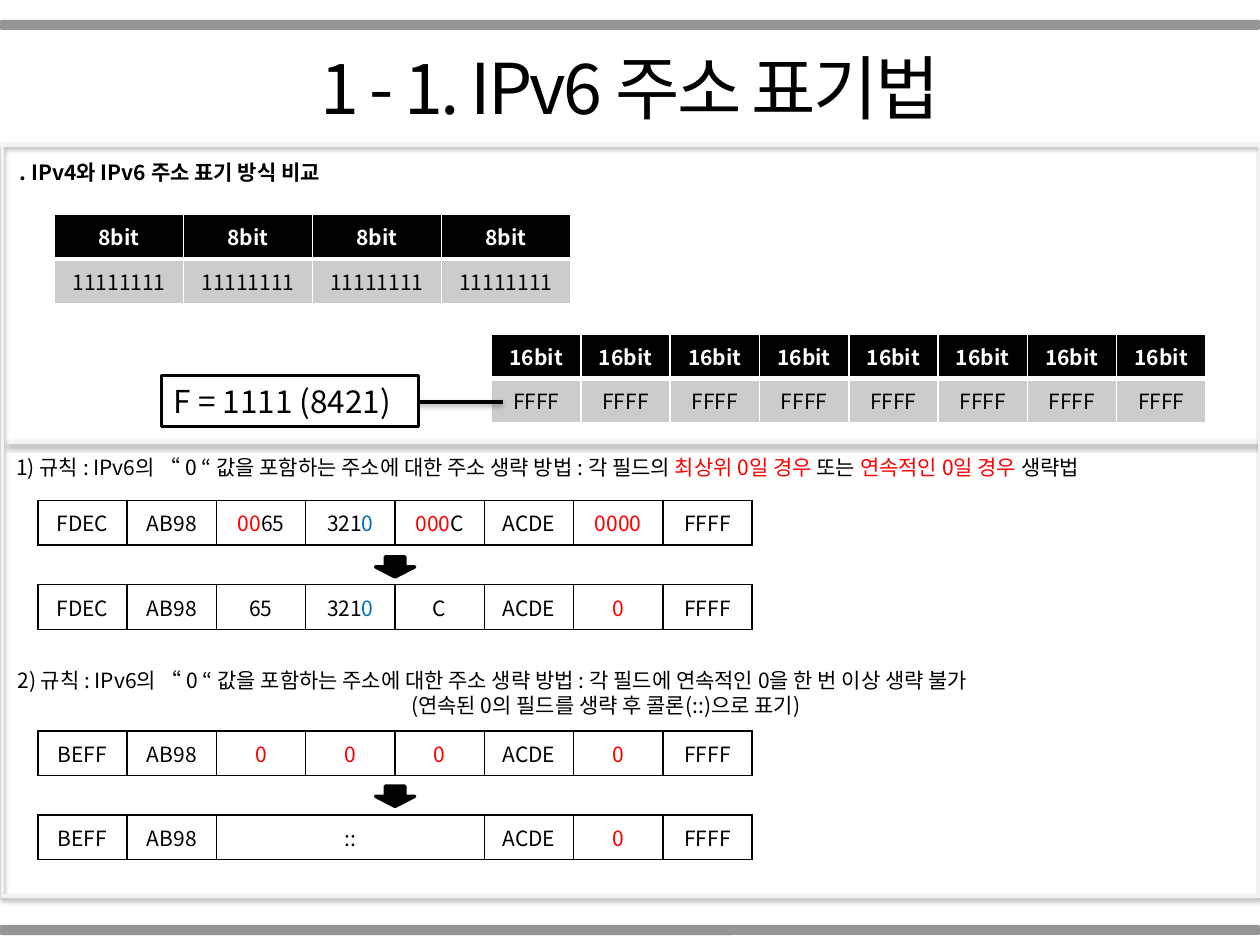
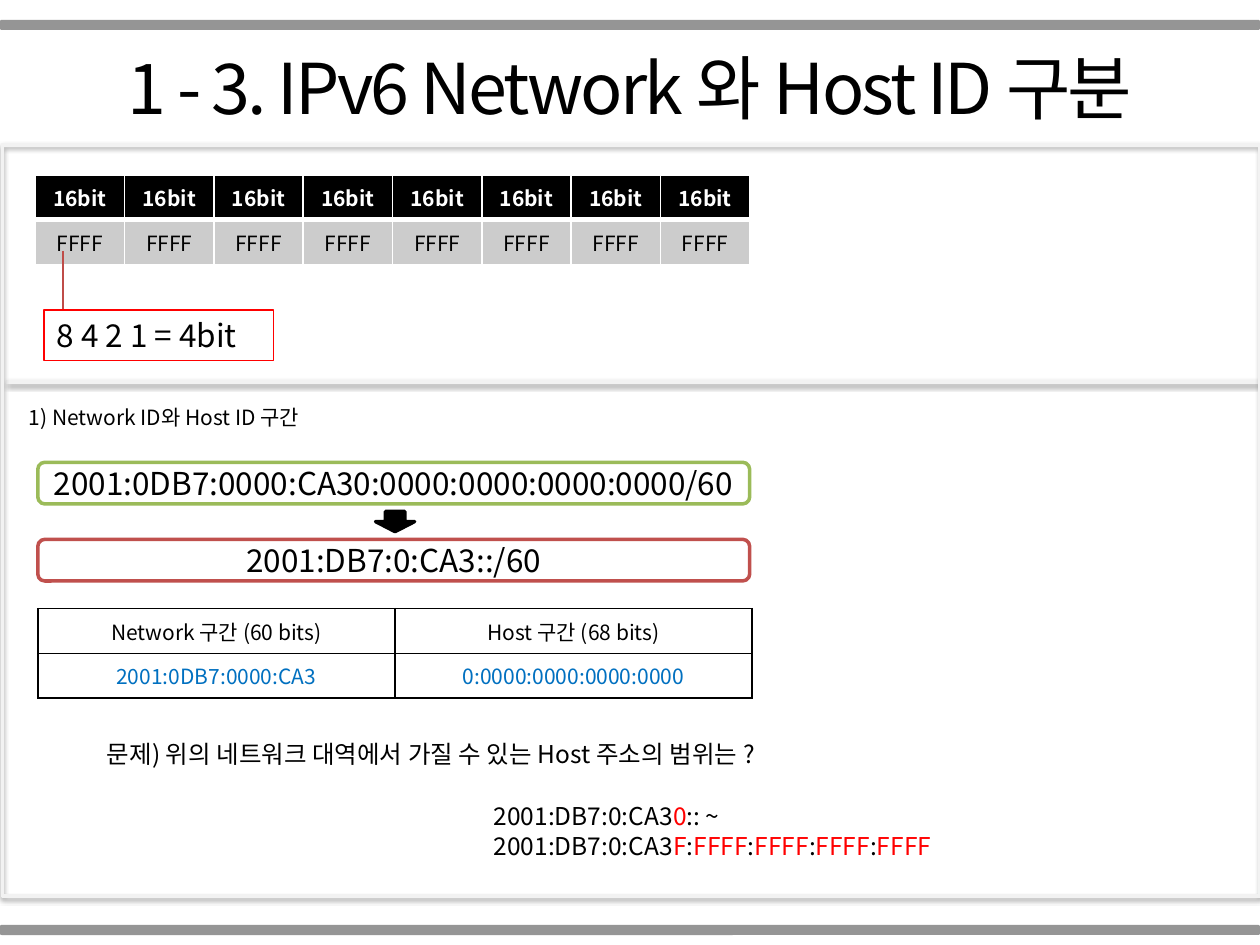
from lxml.etree import SubElement
from pptx import Presentation
from pptx.dml.color import RGBColor
from pptx.enum.shapes import MSO_CONNECTOR, MSO_SHAPE
from pptx.enum.text import MSO_ANCHOR, MSO_AUTO_SIZE, PP_ALIGN
from pptx.oxml.ns import qn
from pptx.util import Pt

COLOURS = {
    "black": "000000", "white": "FFFFFF", "red": "FF0000", "blue": "0070C0",
    "band": "808080", "frame": "F2F2F2", "cell": "CCCCCC",
    "green": "9BBB59", "brick": "C0504D", "pointer": "BF4C48",
}
FONT = "Noto Sans CJK KR"
FIELD_WIDTH = 51.03
ROW_HEIGHT = 25.5
GRID_LEFT = 21.6
RULE_INTRO = "규칙 : IPv6의 “ 0 “ 값을 포함하는 주소에 대한 주소 생략 방법 : "


def rgb(name):
    """Look up a colour by name."""
    return RGBColor.from_string(COLOURS[name])


def red(text):
    """Mark text as a red run."""
    return text, "red"


def blue(text):
    """Mark text as a blue run."""
    return text, "blue"


def write(frame, *paragraphs, size=12, colour="black", bold=False, align=PP_ALIGN.LEFT,
          anchor=MSO_ANCHOR.TOP, spacing=None, indents=()):
    """Fill a text frame; a paragraph is a string or a list of strings and (text, colour)."""
    frame.word_wrap = True
    frame.vertical_anchor = anchor
    for index, content in enumerate(paragraphs):
        paragraph = frame.paragraphs[0] if index == 0 else frame.add_paragraph()
        paragraph.alignment = align
        if index < len(indents):
            paragraph._p.get_or_add_pPr().set("marL", str(Pt(indents[index])))
        for part in content if isinstance(content, list) else [content]:
            text, run_colour = part if isinstance(part, tuple) else (part, colour)
            run = paragraph.add_run()
            run.text = text
            font = run.font
            font.name, font.size, font.bold = FONT, Pt(size), bold
            font.color.rgb = rgb(run_colour)
            properties = run._r.get_or_add_rPr()
            SubElement(properties, qn("a:ea"), typeface=FONT)
            if spacing is not None:
                properties.set("spc", str(int(spacing * 100)))


def set_effect(item, shadow):
    """Give a shape or connector a soft drop shadow, or none at all."""
    properties = item._element.spPr
    effects = SubElement(properties, qn("a:effectLst"))
    if shadow:
        outer = SubElement(effects, qn("a:outerShdw"), blurRad=str(Pt(3.1)),
                           dist=str(Pt(1.6)), dir="5400000", rotWithShape="0")
        tint = SubElement(outer, qn("a:srgbClr"), val=COLOURS["black"])
        SubElement(tint, qn("a:alpha"), val="38000")


def set_borders(cell, colour, **widths):
    """Draw cell borders; widths are keyed L, R, T and B."""
    properties = cell._tc.get_or_add_tcPr()
    for side in "LRTB":
        border = SubElement(properties, qn("a:ln" + side), w=str(Pt(widths.get(side, 1))))
        fill = SubElement(border, qn("a:solidFill"))
        SubElement(fill, qn("a:srgbClr"), val=COLOURS[colour])


class Deck:
    """Holds the shared style and the current slide."""

    def __init__(self):
        """Start an empty 10 by 7.5 inch presentation."""
        self.presentation = Presentation()
        self.presentation.slide_width, self.presentation.slide_height = Pt(720), Pt(540)
        self.slide = None

    def start(self, title):
        """Add a slide with its title and the two grey bands."""
        self.slide = self.presentation.slides.add_slide(self.presentation.slide_layouts[5])
        heading = self.slide.shapes.title
        heading.left, heading.top, heading.width, heading.height = Pt(0), Pt(21.6), Pt(720), Pt(55.4)
        heading.text_frame.auto_size = MSO_AUTO_SIZE.NONE
        write(heading.text_frame, title, size=40, align=PP_ALIGN.CENTER, spacing=-1.5)
        for top in (11.3, 528.5):
            band = self.shape(MSO_SHAPE.ROUNDED_RECTANGLE, 0, top, 720, 5.8, fill="band")
            tint = band._element.spPr.find(".//" + qn("a:srgbClr"))
            SubElement(tint, qn("a:alpha"), val="83000")

    def frame(self, divider):
        """Draw the content frame and its horizontal divider."""
        self.line(3.6, divider, 719.3, divider, "frame", shadow=True)
        self.shape(MSO_SHAPE.RECTANGLE, 1.4, 82.8, 718.6, 429.1, line="frame", shadow=True)

    def shape(self, kind, left, top, width, height, fill=None, line=None, weight=2, shadow=False):
        """Add a preset shape."""
        shape = self.slide.shapes.add_shape(kind, Pt(left), Pt(top), Pt(width), Pt(height))
        if fill:
            shape.fill.solid()
            shape.fill.fore_color.rgb = rgb(fill)
        else:
            shape.fill.background()
        if line:
            shape.line.color.rgb = rgb(line)
            shape.line.width = Pt(weight)
        else:
            shape.line.fill.background()
        set_effect(shape, shadow)
        return shape

    def line(self, x1, y1, x2, y2, colour, weight=2, shadow=False):
        """Add a straight line."""
        line = self.slide.shapes.add_connector(
            MSO_CONNECTOR.STRAIGHT, Pt(x1), Pt(y1), Pt(x2), Pt(y2))
        line.line.color.rgb = rgb(colour)
        line.line.width = Pt(weight)
        set_effect(line, shadow)

    def text(self, left, top, width, height, *paragraphs, **style):
        """Add a text box."""
        box = self.slide.shapes.add_textbox(Pt(left), Pt(top), Pt(width), Pt(height))
        write(box.text_frame, *paragraphs, **style)

    def callout(self, left, top, width, text, **look):
        """Add a bordered note."""
        note = self.shape(MSO_SHAPE.RECTANGLE, left, top, width, 29.1, **look)
        write(note.text_frame, text, size=18)

    def address(self, top, text, line):
        """Add a rounded box with a whole address."""
        box = self.shape(MSO_SHAPE.ROUNDED_RECTANGLE, GRID_LEFT, top, 406.8, 23.8, "white", line)
        box.text_frame.margin_left = box.text_frame.margin_right = 0
        box.text_frame.margin_top = box.text_frame.margin_bottom = 0
        write(box.text_frame, text, size=18, align=PP_ALIGN.CENTER, anchor=MSO_ANCHOR.MIDDLE)

    def arrow(self, top):
        """Add the down arrow between two steps."""
        self.shape(MSO_SHAPE.DOWN_ARROW, 214.6, top, 22.3, 11.5, "black", "black")

    def table(self, left, top, widths, rows):
        """Add a plain table and yield each cell with its row number and content."""
        table = self.slide.shapes.add_table(
            len(rows), len(widths), Pt(left), Pt(top),
            Pt(sum(widths)), Pt(ROW_HEIGHT * len(rows))).table
        table.first_row = table.horz_banding = False
        for column, width in zip(table.columns, widths):
            column.width = Pt(width)
        for number, row in enumerate(rows):
            table.rows[number].height = Pt(ROW_HEIGHT)
            for position, content in enumerate(row):
                yield table.cell(number, position), number, content

    def bit_table(self, left, top, width, count, bits, value):
        """Add a black header of bit sizes over a grey row of values."""
        rows = [[bits] * count, [value] * count]
        for cell, number, content in self.table(left, top, [width] * count, rows):
            header = number == 0
            set_borders(cell, "white", **({"B": 3} if header else {"T": 3}))
            cell.fill.solid()
            cell.fill.fore_color.rgb = rgb("black" if header else "cell")
            self.cell_text(cell, content, colour="white" if header else "black", bold=header)

    def grid(self, top, rows, widths=(FIELD_WIDTH,) * 8):
        """Add an unfilled table with black rules."""
        for cell, _, content in self.table(GRID_LEFT, top, widths, rows):
            set_borders(cell, "black")
            cell.fill.background()
            self.cell_text(cell, content)

    def cell_text(self, cell, content, **style):
        """Write centred text in a cell."""
        cell.vertical_anchor = MSO_ANCHOR.MIDDLE
        write(cell.text_frame, content, align=PP_ALIGN.CENTER, anchor=MSO_ANCHOR.MIDDLE, **style)


def notation_slide(deck):
    """Build the slide on IPv6 notation and its shortening rules."""
    deck.start("1 - 1. IPv6 주소 표기법")
    deck.text(4.3, 87.8, 715.7, 167, ". IPv4와 IPv6 주소 표기 방식 비교", bold=True)
    deck.bit_table(31.2, 122.6, 73.7, 4, "8bit", "11111111")
    deck.bit_table(280.9, 190.8, FIELD_WIDTH, 8, "16bit", "FFFF")
    deck.frame(252.7)

    deck.text(2.2, 256.3, 715.7, 21.6,
              ["1) " + RULE_INTRO + "각 필드의 ", red("최상위 0일 경우 "), "또는 ",
               red("연속적인 0일 경우 "), "생략법"])
    deck.grid(285.9, [["FDEC", "AB98", [red("00"), "65"], ["321", blue("0")],
                       [red("000"), "C"], "ACDE", [red("0000")], "FFFF"]])
    deck.arrow(318.2)
    deck.grid(334.1, [["FDEC", "AB98", "65", ["321", blue("0")], "C", "ACDE",
                       [red("0")], "FFFF"]])

    deck.text(2.9, 378, 715.7, 36,
              "2) " + RULE_INTRO + "각 필드에 연속적인 0을 한 번 이상 생략 불가",
              "(연속된 0의 필드를 생략 후 콜론(::)으로 표기)", indents=(0, 225))
    zero = [red("0")]
    deck.grid(417.6, [["BEFF", "AB98", zero, zero, zero, "ACDE", zero, "FFFF"]])
    deck.arrow(449.3)
    merged = [FIELD_WIDTH * span for span in (1, 1, 3, 1, 1, 1)]
    deck.grid(465.8, [["BEFF", "AB98", "::", "ACDE", zero, "FFFF"]], merged)

    deck.line(287.3, 229.7, 215.3, 229.7, "black", shadow=True)
    deck.callout(92.2, 214.6, 146.9, "F = 1111 (8421)", fill="white", line="black")


def host_slide(deck):
    """Build the slide on splitting an address into network and host."""
    deck.start("1 - 3. IPv6 Network 와 Host ID 구분")
    deck.bit_table(20.2, 100.1, FIELD_WIDTH, 8, "16bit", "FFFF")
    deck.grid(347.8, [["Network 구간 (60 bits)", "Host 구간 (68 bits)"],
                      [[blue("2001:0DB7:0000:CA3")], [blue("0:0000:0000:0000:0000")]]],
              [FIELD_WIDTH * 4] * 2)
    deck.frame(218.2)
    deck.text(9.4, 227.5, 185.8, 21.6, "1) Network ID와 Host ID 구간")
    deck.line(36, 143.3, 36, 177.1, "pointer", weight=0.75)
    deck.callout(25.2, 177.1, 131, "8 4 2 1 = 4bit", line="red", weight=0.75)

    deck.address(264.2, "2001:0DB7:0000:CA30:0000:0000:0000:0000/60", "green")
    deck.address(308.2, "2001:DB7:0:CA3::/60", "brick")
    deck.arrow(292.3)

    deck.text(54, 419, 429.8, 24.5, "문제) 위의 네트워크 대역에서 가질 수 있는 Host 주소의 범위는 ?",
              size=14)
    last_fields = [part for _ in range(4) for part in (":", red("FFFF"))]
    deck.text(275, 454.3, 380.2, 24.5,
              ["2001:DB7:0:CA3", red("0"), ":: ~ 2001:DB7:0:CA3", red("F"), *last_fields], size=14)


deck = Deck()
notation_slide(deck)
host_slide(deck)
deck.presentation.save("out.pptx")
